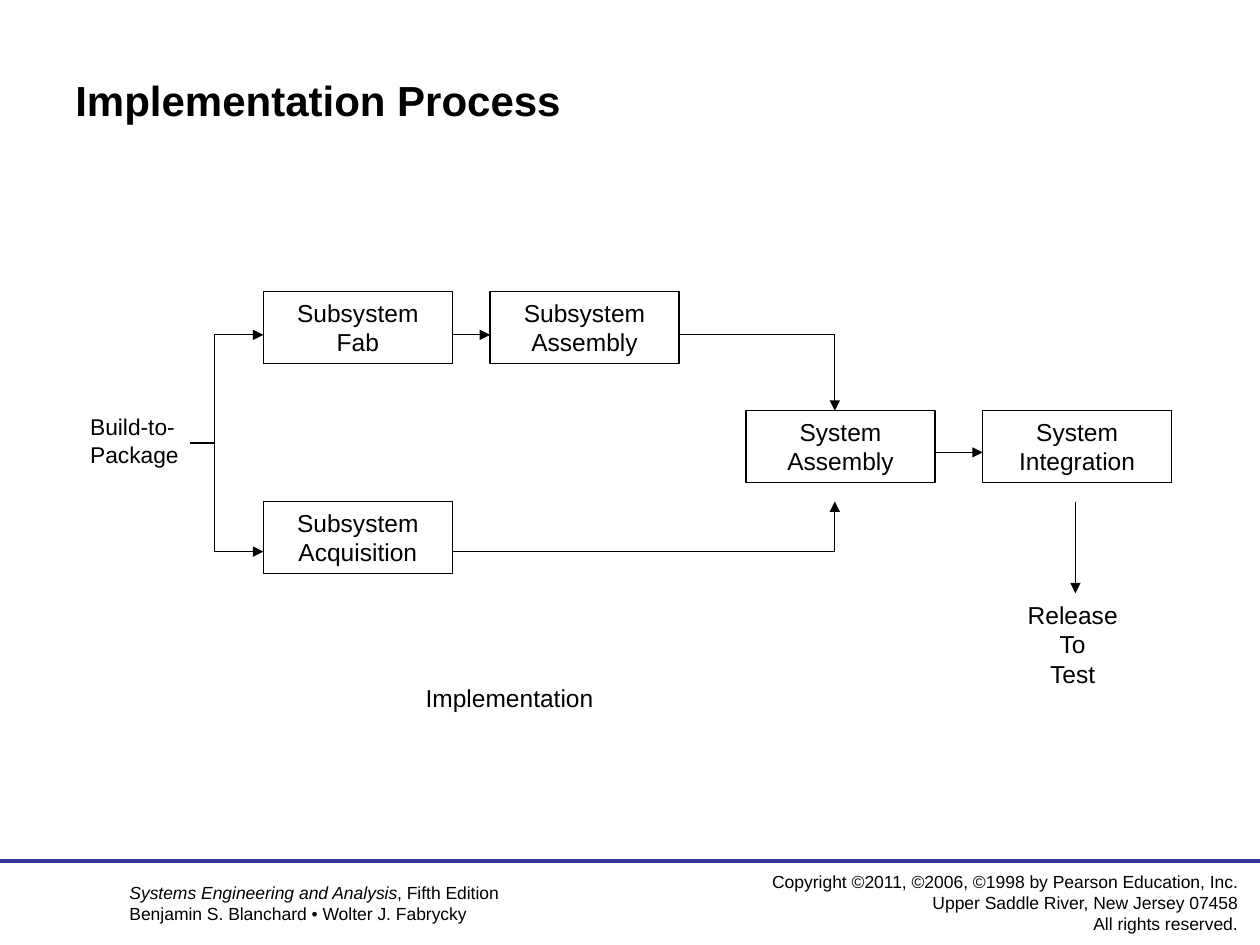
from lxml.etree import SubElement
from pptx import Presentation
from pptx.dml.color import RGBColor
from pptx.enum.shapes import MSO_CONNECTOR, MSO_SHAPE
from pptx.enum.text import MSO_ANCHOR as ANCHOR, PP_ALIGN as ALIGN
from pptx.oxml.ns import qn
from pptx.util import Cm, Pt

COLORS = {"ink": "000000", "rule": "333399"}
FONT = "Arial"

# Content: lengths in cm
BOX_W, BOX_H = 3.81, 1.45
BOXES = [  # left, top, lines
    (5.31, 5.88, ["Subsystem", "Fab"]),
    (5.31, 10.11, ["Subsystem", "Acquisition"]),
    (9.88, 5.88, ["Subsystem", "Assembly"]),
    (15.04, 8.28, ["System", "Assembly"]),
    (19.81, 8.28, ["System", "Integration"]),
]
LABELS = [  # left, top, width, height, lines, size, align, anchor, wrap, bold
    (1.27, 1.07, 22.86, 1.9, ["Implementation Process"], 24, ALIGN.LEFT, ANCHOR.MIDDLE, True, True),
    (1.57, 8.2, 2.29, 1.37, ["Build-to-", "Package"], 13, ALIGN.LEFT, ANCHOR.TOP, False, False),
    (20.37, 11.97, 2.51, 2.03, ["Release", "To", "Test"], 14, ALIGN.CENTER, ANCHOR.TOP, False, False),
    (8.33, 13.64, 9.12, 0.86, ["Implementation"], 14, ALIGN.LEFT, ANCHOR.TOP, True, False),
    (12.7, 17.55, 12.5, 1.3,
     ["Copyright ©2011, ©2006, ©1998 by Pearson Education, Inc.",
      "Upper Saddle River, New Jersey 07458", "All rights reserved."],
     10, ALIGN.RIGHT, ANCHOR.MIDDLE, True, False),
]
BOOK = ("Systems Engineering and Analysis", ", Fifth Edition")
AUTHORS = "Benjamin S. Blanchard •\u00a0Wolter J. Fabrycky"

# Flow lines run along these levels
FORK_X, JOIN_X, RELEASE_X = 4.32, 16.83, 21.68
UPPER_Y, INPUT_Y, MERGED_Y, LOWER_Y = 6.75, 8.93, 9.12, 11.12
PATHS = [  # corner points, arrowhead at the end
    ([(3.84, INPUT_Y), (FORK_X, INPUT_Y)], False),
    ([(FORK_X, INPUT_Y), (FORK_X, UPPER_Y), (5.31, UPPER_Y)], True),
    ([(FORK_X, INPUT_Y), (FORK_X, LOWER_Y), (5.31, LOWER_Y)], True),
    ([(9.12, UPPER_Y), (9.88, UPPER_Y)], True),
    ([(13.69, UPPER_Y), (JOIN_X, UPPER_Y), (JOIN_X, 8.28)], True),
    ([(9.12, LOWER_Y), (JOIN_X, LOWER_Y), (JOIN_X, 10.11)], True),
    ([(18.85, MERGED_Y), (19.81, MERGED_Y)], True),
    ([(RELEASE_X, 10.11), (RELEASE_X, 11.96)], True),
]

prs = Presentation()
prs.slide_width, prs.slide_height = Cm(25.4), Cm(19.05)
s = prs.slides.add_slide(prs.slide_layouts[6])


def color(name):
    return RGBColor.from_string(COLORS[name])


def write(sp, lines, size, align, anchor=ANCHOR.TOP, wrap=True, bold=False):
    """Each line is a string, or a tuple of runs."""
    tf = sp.text_frame
    tf.word_wrap, tf.vertical_anchor = wrap, anchor
    for i, line in enumerate(lines):
        p = tf.add_paragraph() if i else tf.paragraphs[0]
        p.alignment = align
        p.font.name, p.font.size, p.font.bold = FONT, Pt(size), bold
        p.font.color.rgb = color("ink")
        for text in (line,) if isinstance(line, str) else line:
            p.add_run().text = text
    return tf


def add_line(start, end, ink="ink", width=0.75, arrow=False):
    ends = [Cm(v) for v in (*start, *end)]
    c = s.shapes.add_connector(MSO_CONNECTOR.STRAIGHT, *ends)
    c.line.color.rgb, c.line.width = color(ink), Pt(width)
    if arrow:
        SubElement(c.line._get_or_add_ln(), qn("a:tailEnd"), type="triangle")
    SubElement(c._element.spPr, qn("a:effectLst"))


# Footer rule and book details
add_line((0, 17.35), (25.4, 17.35), "rule", 2.25)
sp = s.shapes.add_textbox(Cm(2.36), Cm(17.65), Cm(15.65), Cm(1.12))
tf = write(sp, [BOOK, AUTHORS], 10, ALIGN.LEFT)
tf.paragraphs[0].runs[0].font.italic = True

# Title, labels and copyright
for left, top, width, height, *text in LABELS:
    sp = s.shapes.add_textbox(Cm(left), Cm(top), Cm(width), Cm(height))
    write(sp, *text)

# Process boxes
for left, top, lines in BOXES:
    sp = s.shapes.add_shape(MSO_SHAPE.RECTANGLE, Cm(left), Cm(top), Cm(BOX_W), Cm(BOX_H))
    sp.shadow.inherit = False
    sp.fill.background()
    sp.line.color.rgb, sp.line.width = color("ink"), Pt(0.75)
    write(sp, lines, 14, ALIGN.CENTER)

# Flow lines, arrowhead on the last leg only
for points, arrow in PATHS:
    legs = list(zip(points, points[1:]))
    for i, (start, end) in enumerate(legs, 1):
        add_line(start, end, arrow=arrow and i == len(legs))

prs.save("out.pptx")
